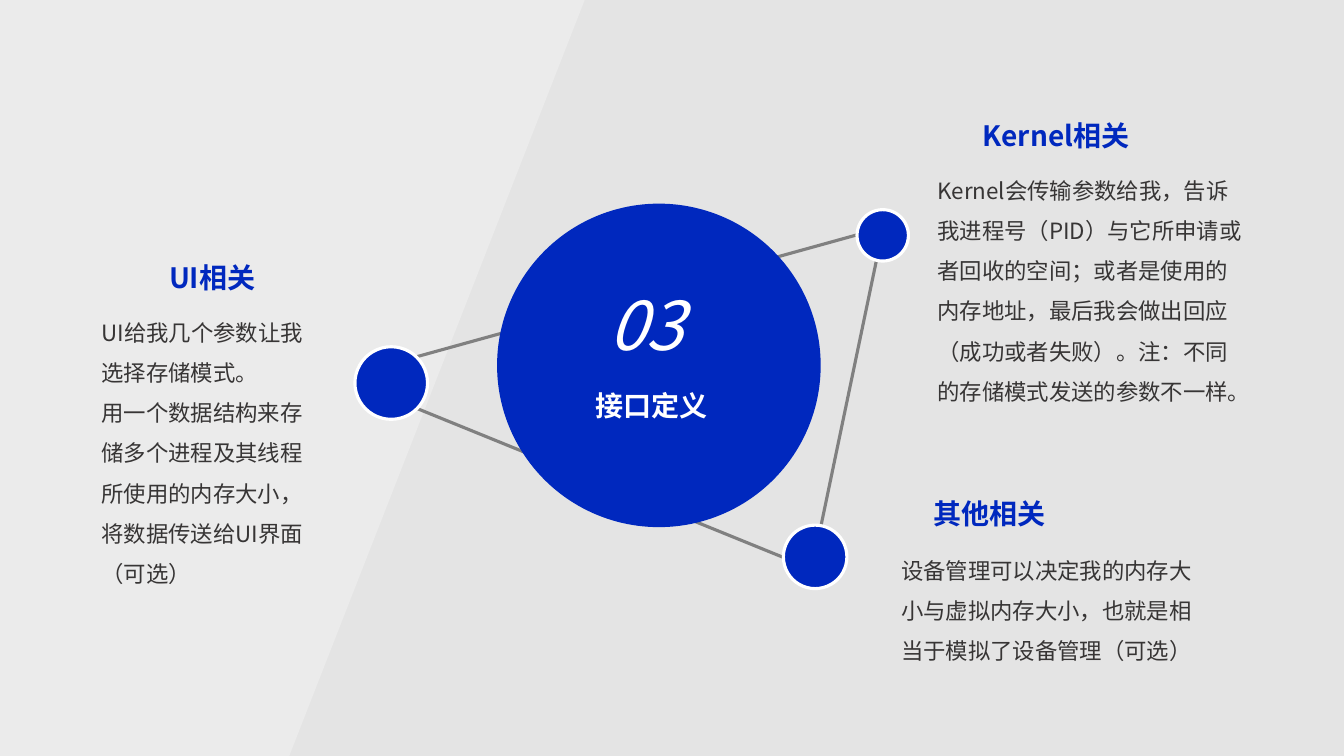
from lxml.etree import SubElement
from pptx import Presentation
from pptx.dml.color import RGBColor
from pptx.enum.shapes import MSO_CONNECTOR as CONNECTOR, MSO_SHAPE as SHAPE
from pptx.enum.text import MSO_ANCHOR as ANCHOR, MSO_AUTO_SIZE as AUTO_SIZE, PP_ALIGN as ALIGN
from pptx.oxml.ns import qn
from pptx.util import Inches, Pt

FONT = "Noto Sans CJK SC"
COLORS = {name: RGBColor.from_string(value) for name, value in {
    "background": "E4E4E4", "panel": "F1F1F1", "blue": "0028BE",
    "link": "808080", "white": "FFFFFF", "body": "373535"}.items()}

HEADING = {"size": Pt(20), "bold": True}
BODY = {"size": Pt(16), "bold": False}
NUMBER = {"size": Pt(48), "bold": False, "italic": True}


def write(box, place, paragraphs, style, color, align=ALIGN.LEFT, spacing=1.0):
    """Place a text box and fill it with evenly formatted paragraphs."""
    box.left, box.top, box.width, box.height = map(Inches, place)
    frame = box.text_frame
    frame.word_wrap = True
    frame.auto_size = AUTO_SIZE.SHAPE_TO_FIT_TEXT
    frame.vertical_anchor = ANCHOR.TOP
    frame.text = "\n".join(paragraphs)
    for paragraph in frame.paragraphs:
        paragraph.alignment = align
        paragraph.line_spacing = spacing
        for run in paragraph.runs:
            for key, value in style.items():
                setattr(run.font, key, value)
            run.font.name = FONT
            run.font.color.rgb = COLORS[color]
            SubElement(run.font._element, qn("a:ea"), typeface=FONT)


prs = Presentation()
prs.slide_width, prs.slide_height = Inches(13.33), Inches(7.5)
slide = prs.slides.add_slide(prs.slide_layouts[5])
shapes = slide.shapes

# Background with a slanted, translucent panel
slide.background.fill.solid()
slide.background.fill.fore_color.rgb = COLORS["background"]
outline = shapes.build_freeform(Inches(5.8), 0)
outline.add_line_segments([(Inches(2.87), Inches(7.5)), (0, Inches(7.5)), (0, 0)])
panel = outline.convert_to_shape()
panel.shadow.inherit = False
panel.fill.solid()
panel.fill.fore_color.rgb = COLORS["panel"]
panel.line.fill.background()
panel_color = panel.fill._xPr.find(qn("a:solidFill"))[0]
SubElement(panel_color, qn("a:alpha"), val="54000")

# Links between the nodes
for ends in [(4.13, 4.05, 7.77, 5.53), (8.7, 2.55, 8.14, 5.23), (4.13, 3.54, 8.5, 2.33)]:
    link = shapes.add_connector(CONNECTOR.STRAIGHT, *map(Inches, ends))
    link.line.color.rgb = COLORS["link"]
    link.line.width = Pt(2.25)
    SubElement(link._element.spPr, qn("a:effectLst"))

# Central circle and its satellites: left, top, diameter, outlined
for left, top, diameter, outlined in [
        (4.93, 2.02, 3.21, False), (3.52, 3.44, 0.72, True),
        (8.5, 2.08, 0.51, True), (7.77, 5.21, 0.63, True)]:
    node = shapes.add_shape(SHAPE.OVAL, *map(Inches, (left, top, diameter, diameter)))
    node.shadow.inherit = False
    node.fill.solid()
    node.fill.fore_color.rgb = COLORS["blue"]
    if outlined:
        node.line.color.rgb = COLORS["white"]
        node.line.width = Pt(2.25)
    else:
        node.line.fill.background()

# Topics: heading, its corner, body place, body paragraphs
topics = [
    ("UI相关", (1.12, 2.54), (0.91, 2.98, 2.29, 2.93),
     ["UI给我几个参数让我选择存储模式。",
      "用一个数据结构来存储多个进程及其线程所使用的内存大小，将数据传送给UI界面（可选）"]),
    ("Kernel相关", (9.49, 1.13), (9.2, 1.57, 3.29, 2.52),
     ["Kernel会传输参数给我，告诉我进程号（PID）与它所申请或者回收的空间；或者是使用的内存地址，"
      "最后我会做出回应（成功或者失败）。注：不同的存储模式发送的参数不一样。"]),
    ("其他相关", (8.83, 4.88), (8.84, 5.34, 3.29, 1.31),
     ["设备管理可以决定我的内存大小与虚拟内存大小，也就是相当于模拟了设备管理（可选）"]),
]
for heading, corner, body_place, body in topics:
    write(shapes.add_textbox(0, 0, 0, 0), (*corner, 1.97, 0.44), [heading],
          HEADING, "blue", ALIGN.CENTER)
    write(shapes.add_textbox(0, 0, 0, 0), body_place, body, BODY, "body", spacing=1.5)

# Section number and title, brought in front of the central circle
write(shapes.add_textbox(0, 0, 0, 0), (5.79, 2.76, 1.23, 0.91), ["03"],
      NUMBER, "white", ALIGN.CENTER)
section_title = shapes.title
write(section_title, (5.81, 3.8, 1.44, 0.44), ["接口定义"], HEADING, "white")
shapes.element.append(section_title.element)

prs.save("out.pptx")
